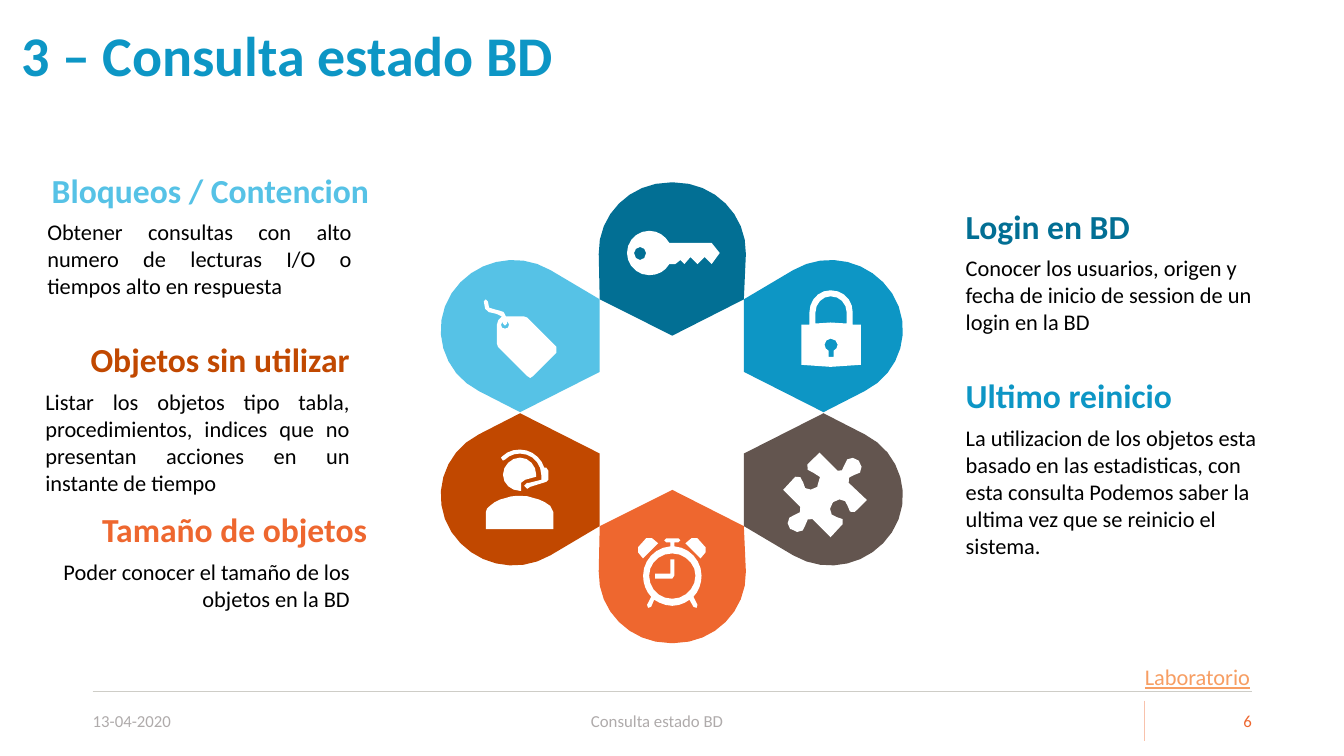
import math
import pptx
import pptx.util
import pptx.dml.color
import pptx.enum.shapes
import pptx.enum.text
import pptx.oxml.ns
import lxml.etree

Pt = pptx.util.Pt
RGB = pptx.dml.color.RGBColor.from_string
ALIGN = pptx.enum.text.PP_ALIGN
ANCHOR = pptx.enum.text.MSO_ANCHOR

COLORS = {
    "blue": "0D96C5", "teal": "026F94", "sky": "56C2E6",
    "orange": "EE672F", "rust": "C14800", "brown": "63554F",
    "link": "F79E63", "black": "000000", "white": "FFFFFF",
    "footer": "AFABAB", "rule": "CECDC7", "divider": "F8C2AC",
}
GRID = 0.72
MIRROR_X, MIRROR_Y = 1333, 819

presentation = pptx.Presentation()
presentation.slide_width, presentation.slide_height = Pt(960), Pt(540)
slide = presentation.slides.add_slide(presentation.slide_layouts[5])


def write(text, box, size=16, color="black", bold=False, underline=False, align=ALIGN.LEFT,
          anchor=ANCHOR.TOP, inset_left=0, inset_right=7.2, spacing=None, holder=None):
    holder = holder or slide.shapes.add_textbox(0, 0, 0, 0)
    holder.left, holder.top, holder.width, holder.height = map(Pt, box)
    frame = holder.text_frame
    frame.word_wrap = True
    frame.auto_size = pptx.enum.text.MSO_AUTO_SIZE.NONE
    frame.vertical_anchor = anchor
    frame.margin_left, frame.margin_right = Pt(inset_left), Pt(inset_right)
    frame.margin_top = frame.margin_bottom = Pt(3.6)
    paragraph = frame.paragraphs[0]
    paragraph.alignment = align
    paragraph.line_spacing = spacing
    run = paragraph.add_run()
    run.text = text
    run.font.name, run.font.size = "Calibri", Pt(size)
    run.font.bold, run.font.underline = bold, underline
    run.font.color.rgb = RGB(COLORS[color])


def draw(outline, color, flip_x=False, flip_y=False):
    builder = None
    for contour in outline.split("|"):
        points = []
        for step in contour.split():
            numbers = [int(number) for number in step.split(",")]
            if len(numbers) == 2:
                points.append(tuple(numbers))
                continue
            x0, y0 = points[-1]
            x1, y1, x2, y2, x3, y3 = numbers
            pieces = min(8, 1 + int(math.dist((x0, y0), (x3, y3)) / 7))
            for i in range(1, pieces + 1):
                t = i / pieces
                a, b, c, d = (1 - t) ** 3, 3 * t * (1 - t) ** 2, 3 * t * t * (1 - t), t ** 3
                points.append((a * x0 + b * x1 + c * x2 + d * x3,
                               a * y0 + b * y1 + c * y2 + d * y3))
        points = [(Pt(GRID * (MIRROR_X - x if flip_x else x)),
                   Pt(GRID * (MIRROR_Y - y if flip_y else y))) for x, y in points]
        if builder is None:
            builder = slide.shapes.build_freeform(*points[0], scale=1.0)
        else:
            builder.move_to(*points[0])
        builder.add_line_segments(points[1:], close=True)
    shape = builder.convert_to_shape()
    shape.shadow.inherit = False
    shape.fill.solid()
    shape.fill.fore_color.rgb = RGB(COLORS[color])
    shape.line.fill.background()


for color, ends in (("rule", (66.2, 493.9, 894.2, 493.9)), ("divider", (817.2, 500.4, 817.2, 529.2))):
    rule = slide.shapes.add_connector(pptx.enum.shapes.MSO_CONNECTOR.STRAIGHT, *map(Pt, ends))
    rule.line.color.rgb = RGB(COLORS[color])
    rule.line.width = Pt(0.5)
    lxml.etree.SubElement(rule._element.spPr, pptx.oxml.ns.qn("a:effectLst"))

write("3 – Consulta estado BD", (15.1, 11.5, 782.6, 60.5), size=40, color="blue", bold=True,
      anchor=ANCHOR.MIDDLE, spacing=0.9, holder=slide.shapes.title)

for text, left, width, align, inset_left, inset_right, color in (
    ("13-04-2020", 66.2, 102.2, ALIGN.LEFT, 0, 0, "footer"),
    ("Consulta estado BD", 208.1, 544.3, ALIGN.CENTER, 7.2, 28.8, "footer"),
    ("6", 825.8, 68.4, ALIGN.RIGHT, 0, 0, "orange"),
):
    write(text, (left, 500.4, width, 28.8), size=12, color=color, align=align,
          anchor=ANCHOR.MIDDLE, inset_left=inset_left, inset_right=inset_right)

top_petal = "738,297 740,252 741,213,709,181,669,181 665,181 625,181,593,213,594,252 595,297 667,333"
side_petal = ("817,409 858,388 894,370,907,325,885,291 864,259,821,248,787,268 "
              "738,297 738,369")
for outline, color, flip_x, flip_y in (
    (side_petal, "blue", False, False),
    (top_petal, "teal", False, False),
    (top_petal, "orange", False, True),
    (side_petal, "sky", True, False),
    (side_petal, "brown", False, True),
    (side_petal, "rust", True, True),
):
    draw(outline, color, flip_x, flip_y)

clock_dial = (
    "644,571 644,559,654,549,667,549 679,549,690,559,690,571 690,584,679,594,667,594 "
    "654,594,644,584,644,571|"
    "669,542 669,538 673,538 675,536 673,534 661,534 659,536 661,538 665,538 665,542 "
    "650,543,638,556,638,571 638,579,641,587,646,592 642,600 643,603 646,602 649,595 "
    "654,598,660,601,667,601 674,601,680,598,684,595 688,602 691,603 692,600 688,592 "
    "693,587,696,579,696,571 696,556,684,543,669,542")
clock_hands = "665,569 650,569 650,574 667,574 669,571 669,555 665,555"
clock_bell = "700,543 692,534 690,532,687,532,686,534 680,539 695,554 700,548 702,547,702,544,700,543"
puzzle = (
    "830,513 824,513,821,504,826,499 827,498 832,493,841,496,841,502 841,506,845,511,848,508 "
    "860,496 842,479 839,476,844,471,848,471 855,472,857,462,852,457 847,452,838,454,838,461 "
    "838,465,833,470,831,467 813,449 801,461 798,464,803,469,807,469 814,468,816,477,811,482 "
    "811,483 805,488,796,486,797,479 797,475,792,470,789,473 777,486 794,503 "
    "797,506,792,511,788,511 782,511,779,520,784,525 785,525 790,530,799,528,799,521 "
    "799,517,803,512,806,515 824,533 836,520 839,517,835,512,830,513")
padlock = (
    "827,348 827,354 822,354 822,348 820,347,818,345,818,342 818,339,821,336,824,336 "
    "828,336,831,339,831,342 831,345,829,347,827,348|"
    "809,310 809,301,816,294,824,294 833,294,840,301,840,310 840,321 824,320 809,321|"
    "846,322 846,310 846,298,837,288,824,288 812,288,803,298,803,310 803,322 795,322 795,362 "
    "824,364 854,362 854,322")
key = (
    "685,255 692,262 699,255 706,262 714,251 706,241 664,241 660,234,653,229,644,229 "
    "632,229,622,239,622,251 622,263,632,273,644,273 653,273,660,269,664,262 670,262 675,258 679,262|"
    "635,258 632,258,629,255,629,251 629,248,632,245,635,245 638,245,641,248,641,251 "
    "641,255,638,258,635,258")
price_tag = (
    "501,326 498,325 497,322 499,319 499,321 501,323 503,321 503,318 505,322 504,325|"
    "552,344 523,315 520,314 502,314 501,310,499,308,495,308 491,307 "
    "485,306,484,306,484,299 482,297 480,299 480,309,484,310,491,311 494,312 498,314 "
    "495,316,493,319,493,322 493,341 494,344 523,373 526,375 529,373 552,350 "
    "554,348,554,346,552,344")
shoulders = (
    "546,502 541,498,535,495,529,494 525,492,521,492,516,492 511,492,507,492,502,494 "
    "496,495,490,498,486,502 484,503,482,506,482,508 482,525 549,525 549,508 549,506,548,503,546,502")
headset = (
    "499,457 501,456 505,452,510,450,516,450 527,450,537,459,537,471 537,476 525,479 "
    "523,479 520,482 523,485 526,483 542,478 544,476 544,467 542,464 540,464 "
    "537,454,527,446,516,446 509,446,503,448,498,453 497,454")
head = (
    "532,473 532,471 532,462,525,454,516,454 507,454,499,462,499,471 "
    "499,480,507,487,516,487 517,487 517,479 521,476")
for icon in (clock_dial, clock_hands, clock_bell, puzzle, padlock, key, price_tag,
             shoulders, headset, head):
    draw(icon, "white")
draw(clock_bell, "white", flip_x=True)

left_topics = (
    ("Bloqueos / Contencion", "sky", 238.3, 33.8, ALIGN.JUSTIFY, 3,
     "Obtener consultas con alto numero de lecturas I/O o tiempos alto en respuesta"),
    ("Objetos sin utilizar", "rust", 224.6, 32.4, ALIGN.JUSTIFY, 4,
     "Listar los objetos tipo tabla, procedimientos, indices que no presentan acciones en un instante de tiempo"),
    ("Tamaño de objetos", "orange", 236.9, 32.4, ALIGN.RIGHT, 2,
     "Poder conocer el tamaño de los objetos en la BD"),
)
right_topics = (
    ("Login en BD", "teal", 224.6, 689.8, ALIGN.LEFT, 3,
     "Conocer los usuarios, origen y fecha de inicio de session de un login en la BD"),
    ("Ultimo reinicio", "blue", 224.6, 689.8, ALIGN.LEFT, 5,
     "La utilizacion de los objetos esta basado en las estadisticas, con esta consulta "
     "Podemos saber la ultima vez que se reinicio el sistema."),
)
for topics, left, first_top, heading_align in (
    (left_topics, 32.4, 117.4, ALIGN.RIGHT),
    (right_topics, 689.8, 143.1, ALIGN.LEFT),
):
    for row, (heading, color, width, detail_left, align, lines, detail) in enumerate(topics):
        top = first_top + 121.4 * row
        write(heading, (left, top, width, 36), size=24, color=color, bold=True,
              align=heading_align, anchor=ANCHOR.BOTTOM)
        write(detail, (detail_left, top + 35.1, 224.6, 7.2 + 19.45 * lines), align=align)

write("Laboratorio", (810.7, 470.2, 113, 26.6), color="link", underline=True, inset_left=7.2)

presentation.save("out.pptx")
